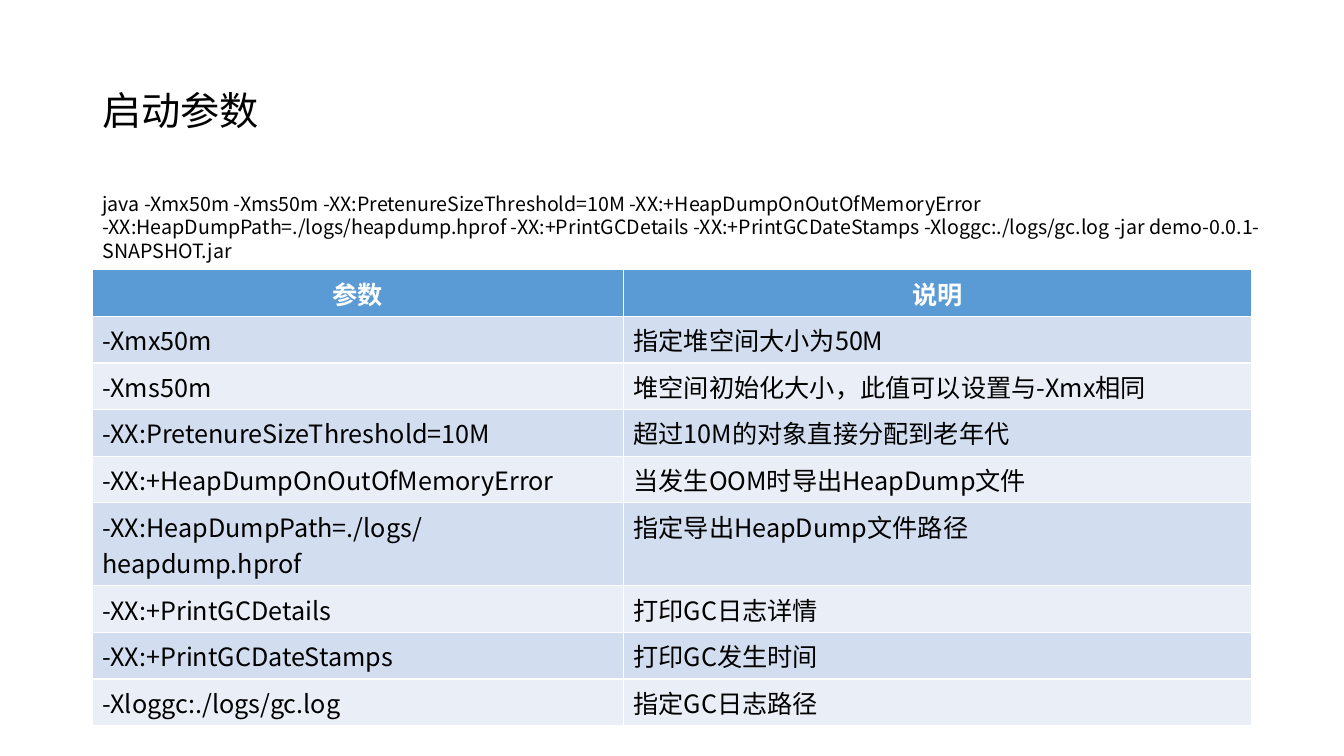
from lxml import etree
from pptx import Presentation
from pptx.dml.color import RGBColor
from pptx.enum.text import MSO_ANCHOR, PP_ALIGN
from pptx.oxml.ns import qn
from pptx.util import Cm, Pt

LEFT, CENTER = PP_ALIGN.LEFT, PP_ALIGN.CENTER
MIDDLE = MSO_ANCHOR.MIDDLE
TITLE_ONLY = 5

BLACK = RGBColor(0x00, 0x00, 0x00)
WHITE = RGBColor(0xFF, 0xFF, 0xFF)
HEADER_BLUE = RGBColor(0x5B, 0x9B, 0xD5)
BANDS = (RGBColor(0xD2, 0xDE, 0xEF), RGBColor(0xEA, 0xEF, 0xF7))

MARGIN = Cm(2.33)
CONTENT_WIDTH = Cm(29.21)
COLUMN_WIDTHS = (Cm(13.38), Cm(15.83))
ROW_HEIGHT = Cm(1.03)

COMMAND = (
    "java -Xmx50m -Xms50m -XX:PretenureSizeThreshold=10M "
    "-XX:+HeapDumpOnOutOfMemoryError -XX:HeapDumpPath=./logs/heapdump.hprof "
    "-XX:+PrintGCDetails -XX:+PrintGCDateStamps -Xloggc:./logs/gc.log "
    "-jar demo-0.0.1-SNAPSHOT.jar"
)
OPTIONS = (
    ("参数", "说明"),
    ("-Xmx50m", "指定堆空间大小为50M"),
    ("-Xms50m", "堆空间初始化大小，此值可以设置与-Xmx相同"),
    ("-XX:PretenureSizeThreshold=10M", "超过10M的对象直接分配到老年代"),
    ("-XX:+HeapDumpOnOutOfMemoryError", "当发生OOM时导出HeapDump文件"),
    ("-XX:HeapDumpPath=./logs/heapdump.hprof", "指定导出HeapDump文件路径"),
    ("-XX:+PrintGCDetails", "打印GC日志详情"),
    ("-XX:+PrintGCDateStamps", "打印GC发生时间"),
    ("-Xloggc:./logs/gc.log", "指定GC日志路径"),
)


class SlideBuilder:
    font_name = "Noto Sans CJK SC"

    def __init__(self, slide):
        self.slide = slide

    def put_text(self, frame, text, size, color=BLACK, bold=False, **layout):
        """Fill a text frame; layout holds paragraph attributes."""
        paragraph = frame.paragraphs[0]
        for attribute, value in layout.items():
            setattr(paragraph, attribute, value)
        run = paragraph.add_run()
        run.text = text
        formats = {"name": self.font_name, "size": Pt(size), "bold": bold}
        for attribute, value in formats.items():
            setattr(run.font, attribute, value)
        run.font.color.rgb = color
        east_asian = etree.SubElement(run.font._element, qn("a:ea"))
        east_asian.set("typeface", self.font_name)

    def title(self, text):
        heading = self.slide.shapes.title
        place = {"left": MARGIN, "top": Cm(1.01),
                 "width": CONTENT_WIDTH, "height": Cm(3.68)}
        for attribute, value in place.items():
            setattr(heading, attribute, value)
        heading.text_frame.vertical_anchor = MIDDLE
        self.put_text(heading.text_frame, text, 28, alignment=LEFT, line_spacing=0.9)

    def command(self, text):
        box = self.slide.shapes.add_textbox(MARGIN, Cm(4.7), Cm(31.09), Cm(1.45))
        box.text_frame.word_wrap = True
        self.put_text(box.text_frame, text, 14, line_spacing=Pt(16.8))

    def table(self, rows):
        grid = self.slide.shapes.add_table(
            len(rows), len(COLUMN_WIDTHS), MARGIN, Cm(6.8),
            CONTENT_WIDTH, ROW_HEIGHT * len(rows)).table
        for column, width in zip(grid.columns, COLUMN_WIDTHS):
            column.width = width
        for r, texts in enumerate(rows):
            grid.rows[r].height = ROW_HEIGHT
            header = r == 0
            for c, text in enumerate(texts):
                cell = grid.cell(r, c)
                cell.fill.solid()
                cell.fill.fore_color.rgb = HEADER_BLUE if header else BANDS[(r - 1) % 2]
                self.put_text(cell.text_frame, text, 18,
                              color=WHITE if header else BLACK, bold=header,
                              alignment=CENTER if header else LEFT)


def main():
    deck = Presentation()
    deck.slide_width, deck.slide_height = Cm(33.87), Cm(19.05)
    builder = SlideBuilder(deck.slides.add_slide(deck.slide_layouts[TITLE_ONLY]))
    builder.title("启动参数")
    builder.table(OPTIONS)
    builder.command(COMMAND)
    deck.save("out.pptx")


if __name__ == "__main__":
    main()
